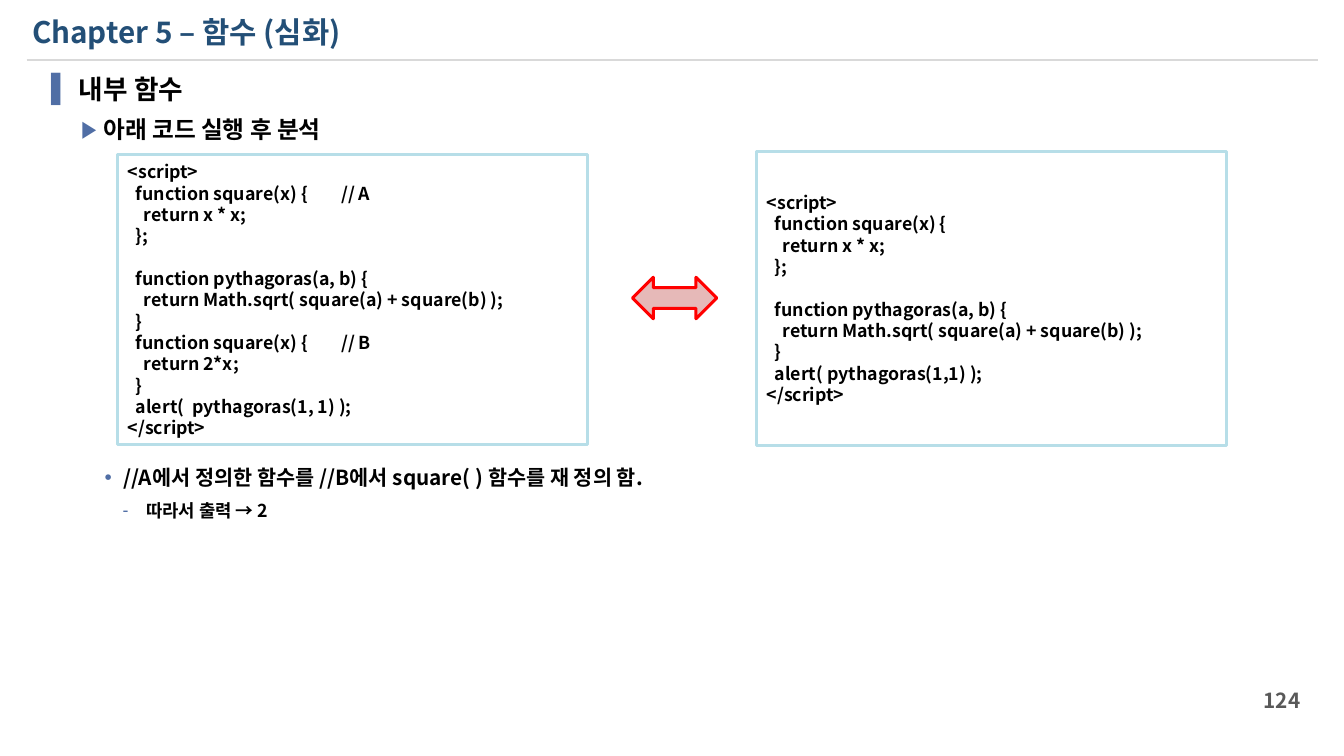
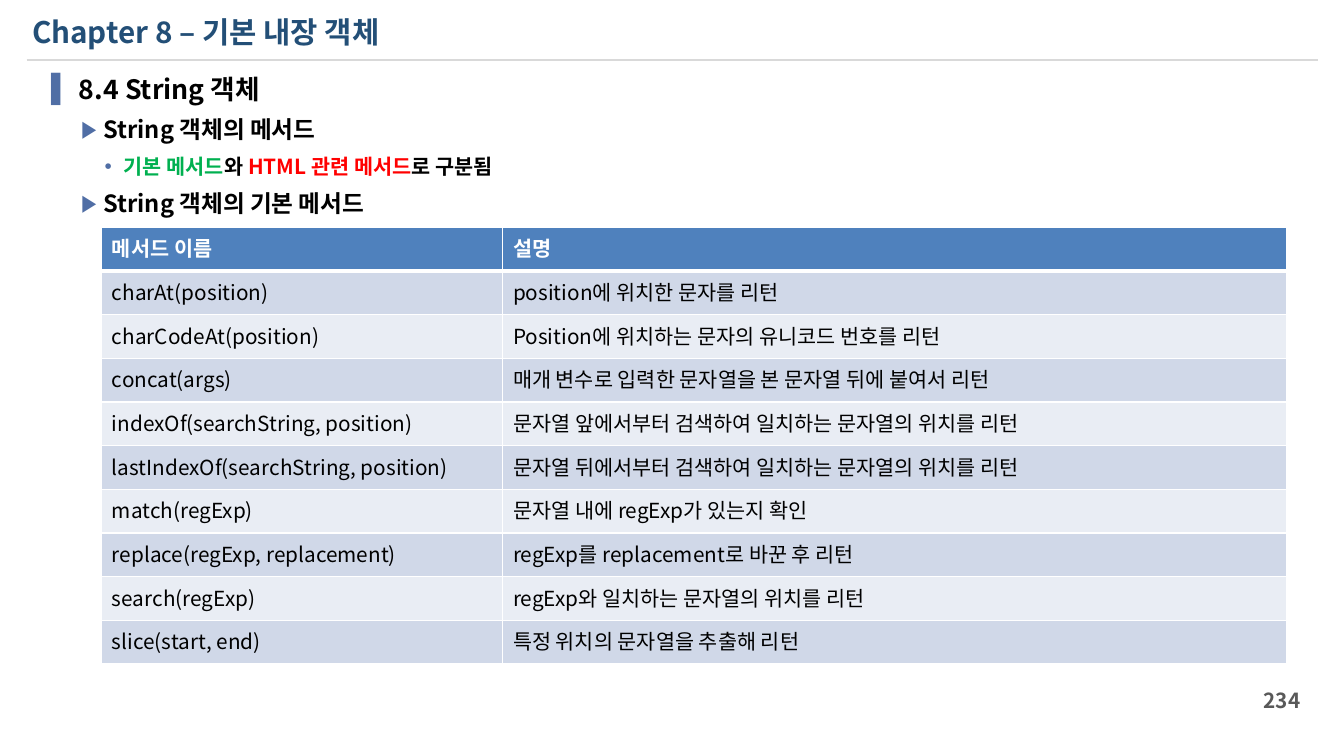
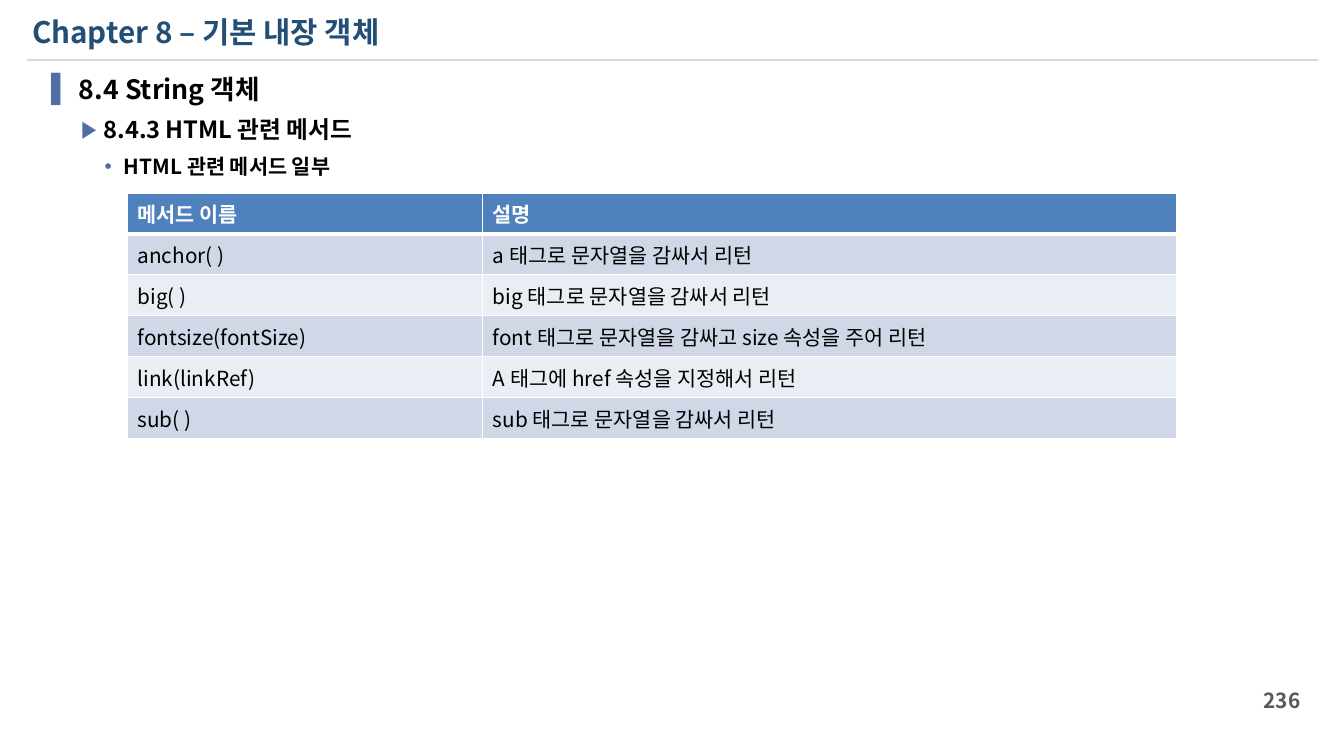
"""Builds three lecture slides on JavaScript functions and String methods."""
from dataclasses import dataclass

from lxml.etree import SubElement
from pptx import Presentation
from pptx.dml.color import RGBColor
from pptx.enum.shapes import MSO_CONNECTOR, MSO_SHAPE
from pptx.enum.text import MSO_ANCHOR, MSO_AUTO_SIZE, PP_ALIGN
from pptx.oxml.ns import qn
from pptx.util import Inches, Pt


@dataclass(frozen=True)
class Theme:
    font: str = "Noto Sans CJK KR"
    title: str = "234F77"
    text: str = "000000"
    white: str = "FFFFFF"
    rule: str = "D9D9D9"
    page: str = "595959"
    bullet: str = "506EA5"
    code_border: str = "B7DEE8"
    red: str = "FF0000"
    green: str = "00B050"
    arrow: str = "E6B9B8"
    header: str = "4F81BD"
    bands: tuple = ("D0D8E8", "E9EDF4")
    title_size: int = 20
    page_size: int = 14
    table_size: int = 14
    code_size: int = 12
    leading: float = 1.2
    paragraph_gap: int = 7
    levels: tuple = (
        (18, "▐", 0.35, 0.35),
        (16, "▶", 0.58, 0.21),
        (14, "•", 0.77, 0.18),
        (12, "-", 0.98, 0.22),
    )


THEME = Theme()


def color(value):
    return RGBColor.from_string(value)


class Deck:
    def __init__(self, theme):
        self.theme = theme
        self.presentation = Presentation()
        self.presentation.slide_width = Inches(12.6)
        self.presentation.slide_height = Inches(7.09)
        self.layout = self.presentation.slide_layouts[1]
        self.slide = None
        self.place(self.layout.placeholders[0], 0.2, 0.08, 11.86, 0.44)
        self.place(self.layout.placeholders[1], 0.29, 0.63, 12.01, 1.91)

    def place(self, shape, left, top, width, height):
        shape.left, shape.top = Inches(left), Inches(top)
        shape.width, shape.height = Inches(width), Inches(height)

    def style_run(self, run, size, fill, bold=True):
        run.font.size = Pt(size)
        run.font.bold = bold
        run.font.color.rgb = color(fill)
        run.font.name = self.theme.font
        SubElement(run._r.get_or_add_rPr(), qn("a:ea"), typeface=self.theme.font)

    def style_paragraph(self, paragraph, size, fill, align=PP_ALIGN.LEFT):
        paragraph.alignment = align
        paragraph.line_spacing = Pt(size * self.theme.leading)
        for run in paragraph.runs:
            self.style_run(run, size, fill)

    def set_frame(self, shape, anchor):
        frame = shape.text_frame
        frame.word_wrap = True
        frame.auto_size = MSO_AUTO_SIZE.NONE
        frame.vertical_anchor = anchor
        return frame

    def new_slide(self, title, page):
        theme = self.theme
        self.slide = self.presentation.slides.add_slide(self.layout)
        self.rule()
        frame = self.set_frame(self.slide.shapes.title, MSO_ANCHOR.TOP)
        frame.text = title
        self.style_paragraph(frame.paragraphs[0], theme.title_size, theme.title)
        box = self.slide.shapes.add_textbox(
            Inches(11.35), Inches(6.38), Inches(0.94), Inches(0.38))
        frame = self.set_frame(box, MSO_ANCHOR.MIDDLE)
        frame.text = page
        self.style_paragraph(
            frame.paragraphs[0], theme.page_size, theme.page, PP_ALIGN.RIGHT)

    def rule(self):
        line = self.slide.shapes.add_connector(
            MSO_CONNECTOR.STRAIGHT,
            Inches(0.25), Inches(0.56), Inches(12.36), Inches(0.56))
        line.line.color.rgb = color(self.theme.rule)
        line.line.width = Pt(1.5)
        SubElement(line._element.spPr, qn("a:effectLst"))

    def add_bullet(self, paragraph, character, left, hanging):
        properties = paragraph._p.get_or_add_pPr()
        properties.set("marL", str(Inches(left)))
        properties.set("indent", str(-Inches(hanging)))
        bullet_color = SubElement(properties, qn("a:buClr"))
        SubElement(bullet_color, qn("a:srgbClr"), val=self.theme.bullet)
        SubElement(properties, qn("a:buChar"), char=character)

    def outline(self, items, gaps=None):
        """Fill the body with (level, text or coloured parts); gaps maps index to points."""
        theme = self.theme
        gaps = {0: 0, **(gaps or {})}
        frame = self.set_frame(self.slide.placeholders[1], MSO_ANCHOR.TOP)
        for index, (level, content) in enumerate(items):
            paragraph = frame.add_paragraph() if index else frame.paragraphs[0]
            size, character, left, hanging = theme.levels[level]
            paragraph.level = level
            self.add_bullet(paragraph, character, left, hanging)
            paragraph.space_before = Pt(gaps.get(index, theme.paragraph_gap))
            paragraph.alignment = PP_ALIGN.LEFT
            paragraph.line_spacing = Pt(size * theme.leading)
            parts = [(content, theme.text)] if isinstance(content, str) else content
            for text, fill in parts:
                run = paragraph.add_run()
                run.text = text
                self.style_run(run, size, fill)

    def shape(self, kind, left, top, width, height, border, fill=None):
        shape = self.slide.shapes.add_shape(
            kind, Inches(left), Inches(top), Inches(width), Inches(height))
        shape.shadow.inherit = False
        shape.line.color.rgb = color(border)
        shape.line.width = Pt(2)
        if fill:
            shape.fill.solid()
            shape.fill.fore_color.rgb = color(fill)
        else:
            shape.fill.background()
        return shape

    def code(self, source, left, top, width, height):
        theme = self.theme
        box = self.shape(
            MSO_SHAPE.RECTANGLE, left, top, width, height, theme.code_border)
        frame = self.set_frame(box, MSO_ANCHOR.MIDDLE)
        frame.text = source
        for paragraph in frame.paragraphs:
            self.style_paragraph(paragraph, theme.code_size, theme.text)

    def border_cell(self, cell, top, bottom):
        properties = cell._tc.get_or_add_tcPr()
        for side, width in (("L", 1), ("R", 1), ("T", top), ("B", bottom)):
            line = SubElement(properties, qn(f"a:ln{side}"), w=str(Pt(width)))
            fill = SubElement(line, qn("a:solidFill"))
            SubElement(fill, qn("a:srgbClr"), val=self.theme.white)

    def table(self, rows, left, top, widths, row_height):
        theme = self.theme
        rows = [("메서드 이름", "설명"), *rows]
        table = self.slide.shapes.add_table(
            len(rows), len(widths), Inches(left), Inches(top),
            Inches(sum(widths)), Inches(row_height * len(rows))).table
        for column, width in zip(table.columns, widths):
            column.width = Inches(width)
        for row_index, row in enumerate(rows):
            is_header = row_index == 0
            fill = theme.header if is_header else theme.bands[(row_index - 1) % 2]
            text_color = theme.white if is_header else theme.text
            for column_index, text in enumerate(row):
                cell = table.cell(row_index, column_index)
                self.border_cell(
                    cell, 3 if row_index == 1 else 1, 3 if is_header else 1)
                cell.fill.solid()
                cell.fill.fore_color.rgb = color(fill)
                cell.text_frame.text = text
                for run in cell.text_frame.paragraphs[0].runs:
                    self.style_run(run, theme.table_size, text_color, is_header)


REDEFINED_CODE = """<script>
  function square(x) { \t// A
    return x * x;
  };

  function pythagoras(a, b) {
    return Math.sqrt( square(a) + square(b) );
  }
  function square(x) {\t// B
    return 2*x;
  }
  alert(  pythagoras(1, 1) );
</script>"""

SIMPLE_CODE = """<script>
  function square(x) {
    return x * x;
  };

  function pythagoras(a, b) {
    return Math.sqrt( square(a) + square(b) );
  }
  alert( pythagoras(1,1) );
</script>"""

BASIC_METHODS = [
    ("charAt(position)", "position에 위치한 문자를 리턴"),
    ("charCodeAt(position)", "Position에 위치하는 문자의 유니코드 번호를 리턴"),
    ("concat(args)", "매개 변수로 입력한 문자열을 본 문자열 뒤에 붙여서 리턴"),
    ("indexOf(searchString, position)",
     "문자열 앞에서부터 검색하여 일치하는 문자열의 위치를 리턴"),
    ("lastIndexOf(searchString, position)",
     "문자열 뒤에서부터 검색하여 일치하는 문자열의 위치를 리턴"),
    ("match(regExp)", "문자열 내에 regExp가 있는지 확인"),
    ("replace(regExp, replacement)", "regExp를 replacement로 바꾼 후 리턴"),
    ("search(regExp)", "regExp와 일치하는 문자열의 위치를 리턴"),
    ("slice(start, end)", "특정 위치의 문자열을 추출해 리턴"),
]

HTML_METHODS = [
    ("anchor( )", "a 태그로 문자열을 감싸서 리턴"),
    ("big( )", "big 태그로 문자열을 감싸서 리턴"),
    ("fontsize(fontSize)", "font 태그로 문자열을 감싸고 size 속성을 주어 리턴"),
    ("link(linkRef)", "A 태그에 href 속성을 지정해서 리턴"),
    ("sub( )", "sub 태그로 문자열을 감싸서 리턴"),
]

OBJECTS_TITLE = "Chapter 8 – 기본 내장 객체"
STRING_HEADING = (0, "8.4 String 객체")


def inner_functions(deck):
    deck.new_slide("Chapter 5 – 함수 (심화)", "124")
    deck.outline([
        (0, "내부 함수"),
        (1, "아래 코드 실행 후 분석"),
        (2, "//A에서 정의한 함수를 //B에서 square( ) 함수를 재 정의 함."),
        (3, "따라서 출력 → 2"),
    ], gaps={2: 217})
    deck.code(SIMPLE_CODE, 7.09, 1.42, 4.41, 2.76)
    deck.code(REDEFINED_CODE, 1.1, 1.45, 4.41, 2.72)
    deck.shape(MSO_SHAPE.LEFT_RIGHT_ARROW, 5.93, 2.6, 0.79, 0.39,
               THEME.red, THEME.arrow)


def basic_methods(deck):
    deck.new_slide(OBJECTS_TITLE, "234")
    deck.outline([
        STRING_HEADING,
        (1, "String 객체의 메서드"),
        (2, [("기본 메서드", THEME.green), ("와 ", THEME.text),
             ("HTML 관련 메서드", THEME.red), ("로 구분됨", THEME.text)]),
        (1, "String 객체의 기본 메서드"),
    ])
    deck.table(BASIC_METHODS, 0.95, 2.13, (3.76, 7.35), 0.41)


def html_methods(deck):
    deck.new_slide(OBJECTS_TITLE, "236")
    deck.outline([
        STRING_HEADING,
        (1, "8.4.3 HTML 관련 메서드"),
        (2, "HTML 관련 메서드 일부"),
    ])
    deck.table(HTML_METHODS, 1.19, 1.81, (3.33, 6.51), 0.34)


def main():
    deck = Deck(THEME)
    inner_functions(deck)
    basic_methods(deck)
    html_methods(deck)
    deck.presentation.save("out.pptx")


if __name__ == "__main__":
    main()
